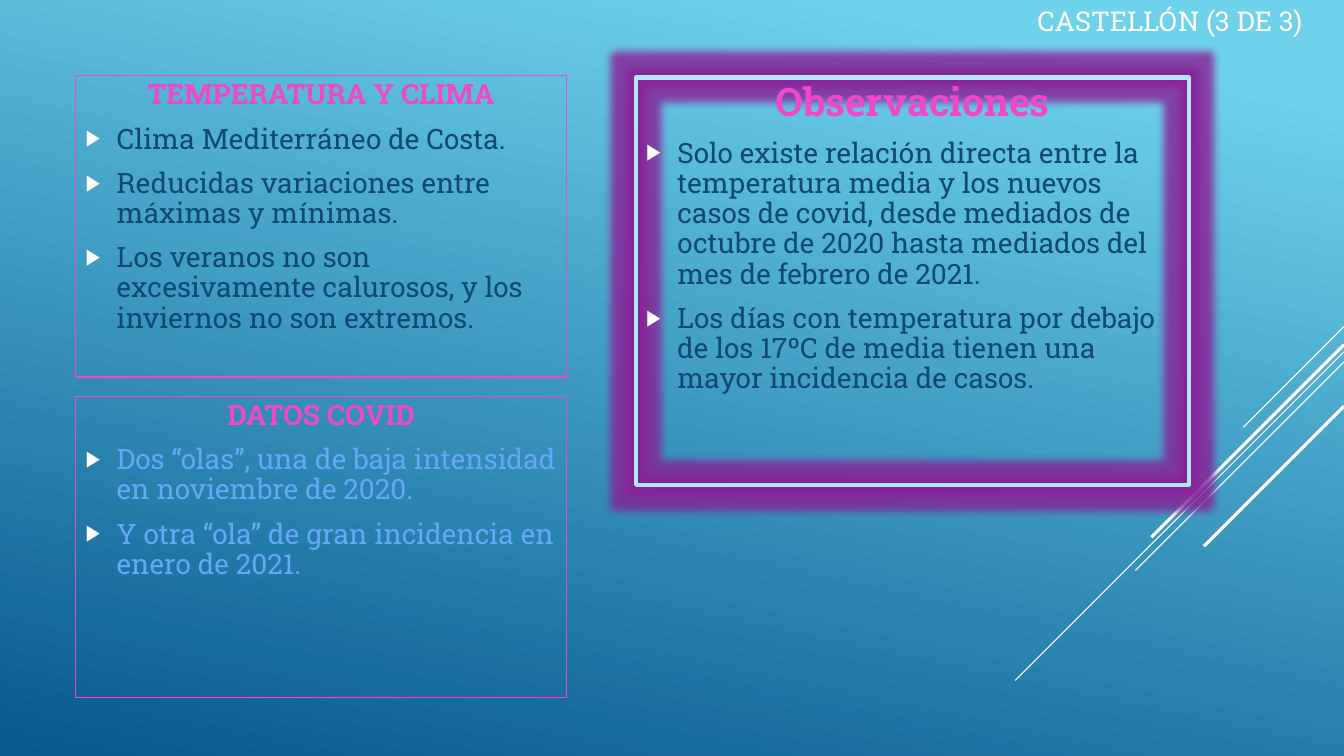
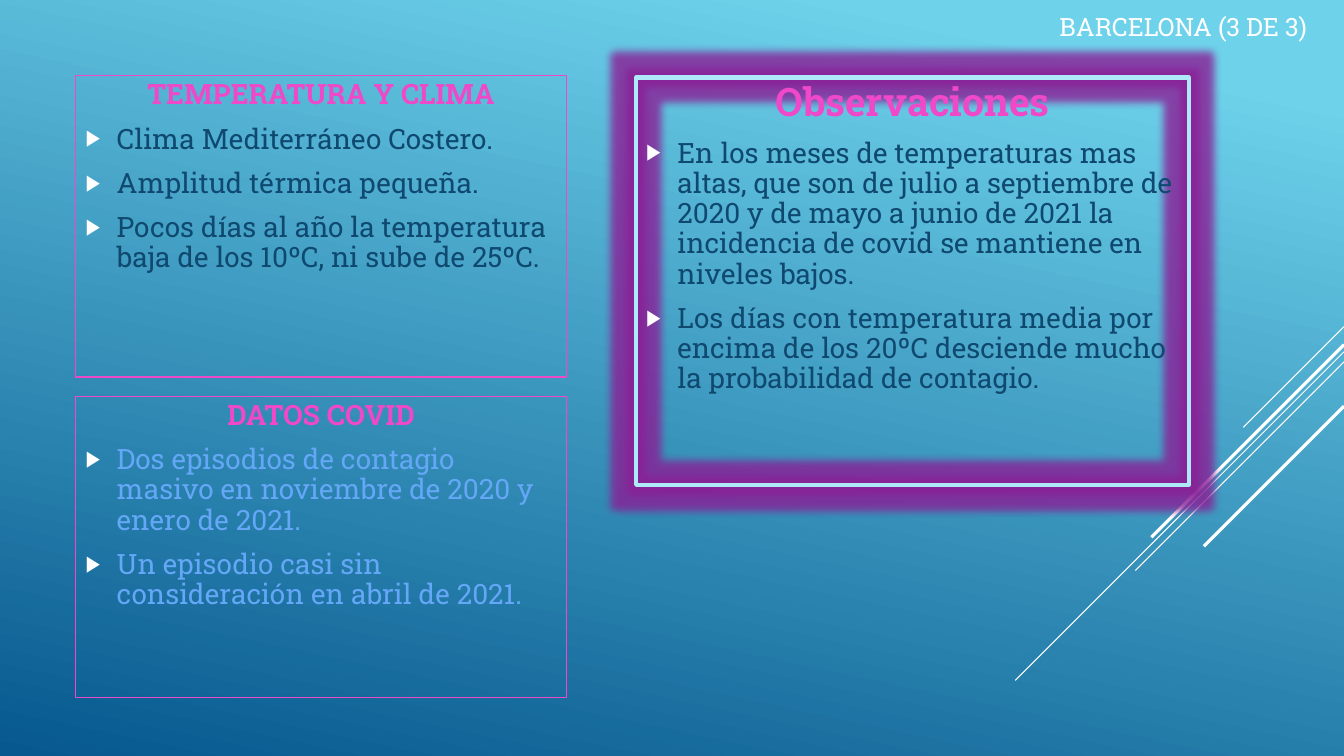
from dataclasses import dataclass

from lxml.etree import SubElement
from pptx import Presentation
from pptx.dml.color import RGBColor
from pptx.enum.shapes import MSO_CONNECTOR, MSO_SHAPE
from pptx.enum.text import MSO_ANCHOR, PP_ALIGN
from pptx.oxml.ns import qn
from pptx.util import Inches, Pt


@dataclass(frozen=True)
class Theme:
    font: str = "Roboto Slab"
    white: RGBColor = RGBColor.from_string("FFFFFF")
    pink: RGBColor = RGBColor.from_string("EF48C9")
    navy: RGBColor = RGBColor.from_string("0F496F")
    sky: RGBColor = RGBColor.from_string("64A7F7")
    frame: RGBColor = RGBColor.from_string("ADE9F8")
    background_top: RGBColor = RGBColor.from_string("6ED2EB")
    background_bottom: RGBColor = RGBColor.from_string("06588E")
    glow: str = "8A1F96"
    body_size: float = 20
    observation_size: float = 28


theme = Theme()


def style_paragraph(paragraph, text, size, color, bold=False):
    paragraph.text = text
    paragraph.line_spacing = 0.9
    paragraph.font.name = theme.font
    paragraph.font.size = Pt(size)
    paragraph.font.color.rgb = color
    paragraph.font.bold = bold


def add_panel(slide, box, outline, heading, heading_size, bullets, color):
    panel = slide.shapes.add_shape(MSO_SHAPE.RECTANGLE, *map(Inches, box))
    panel.shadow.inherit = False
    panel.fill.background()
    panel.line.color.rgb, panel.line.width = outline
    frame = panel.text_frame
    frame.word_wrap = True
    frame.vertical_anchor = MSO_ANCHOR.TOP

    paragraph = frame.paragraphs[0]
    paragraph.alignment = PP_ALIGN.CENTER
    paragraph.space_after = Pt(6)
    style_paragraph(paragraph, heading, heading_size, theme.pink, True)

    for bullet in bullets:
        paragraph = frame.add_paragraph()
        paragraph.alignment = PP_ALIGN.LEFT
        paragraph.space_before = Pt(4)
        paragraph.space_after = Pt(6)
        paragraph.line_spacing = 0.9
        properties = paragraph._p.get_or_add_pPr()
        properties.set("marL", str(Inches(0.31)))
        properties.set("indent", str(-Inches(0.31)))
        bullet_color = SubElement(properties, qn("a:buClr"))
        SubElement(bullet_color, qn("a:srgbClr"), val=str(theme.white))
        SubElement(properties, qn("a:buSzPct"), val="80000")
        SubElement(properties, qn("a:buFont"), typeface="Arial")
        SubElement(properties, qn("a:buChar"), char="▶")
        style_paragraph(paragraph, bullet, theme.body_size, color)
    return panel


# Content: title, title box, title size, then the bullets of each panel
cities = [
    (
        "CASTELLÓN (3 DE 3)", (10.19, 0.03, 3.14, 0.41), 19.5,
        ["Clima Mediterráneo de Costa.",
         "Reducidas variaciones entre máximas y mínimas.",
         "Los veranos no son excesivamente calurosos, y los inviernos no son extremos."],
        ["Dos “olas”, una de baja intensidad en noviembre de 2020.",
         "Y otra “ola” de gran incidencia en enero de 2021."],
        ["Solo existe relación directa entre la temperatura media y los nuevos casos de "
         "covid, desde mediados de octubre de 2020 hasta mediados del mes de febrero de 2021.",
         "Los días con temperatura por debajo de los 17ºC de media tienen una mayor "
         "incidencia de casos."],
    ),
    (
        "BARCELONA (3 DE 3)", (10.41, 0.1, 2.93, 0.52), 18,
        ["Clima Mediterráneo Costero.",
         "Amplitud térmica pequeña.",
         "Pocos días al año la temperatura baja de los 10ºC, ni sube de 25ºC."],
        ["Dos episodios de contagio masivo en noviembre de 2020 y enero de 2021.",
         "Un episodio casi sin consideración en abril de 2021."],
        ["En los meses de temperaturas mas altas, que son de julio a septiembre de 2020 y "
         "de mayo a junio de 2021 la incidencia de covid se mantiene en niveles bajos.",
         "Los días con temperatura media por encima de los 20ºC desciende mucho la "
         "probabilidad de contagio."],
    ),
]

# Diagonals run down and left at 45° from the right edge: start y, run, width
slide_width = 13.33
diagonals = [
    (3.24, 1.0, 0.75),
    (3.49, 3.26, 0.75),
    (3.59, 2.07, 0.75),
    (3.42, 1.91, 2.25),
    (4.03, 1.39, 2.25),
]

presentation = Presentation()
presentation.slide_width = Inches(slide_width)
presentation.slide_height = Inches(7.5)

# Shared background
background = presentation.slide_master.background.fill
background.gradient()
background.gradient_angle = 258
stops = zip(background.gradient_stops, (0.1, 1),
            (theme.background_top, theme.background_bottom))
for stop, position, color in stops:
    stop.position = position
    stop.color.rgb = color

for title, title_box, title_size, climate, covid, observations in cities:
    slide = presentation.slides.add_slide(presentation.slide_layouts[6])

    # Diagonal lines
    for top, run, width in diagonals:
        line = slide.shapes.add_connector(
            MSO_CONNECTOR.STRAIGHT, Inches(slide_width), Inches(top),
            Inches(slide_width - run), Inches(top + run))
        line.line.color.rgb = theme.white
        line.line.width = Pt(width)
        SubElement(line._element.spPr, qn("a:effectLst"))

    # Panels
    add_panel(slide, (0.75, 0.75, 4.87, 2.99), (theme.pink, Pt(1)),
              "TEMPERATURA Y CLIMA", theme.body_size, climate, theme.navy)
    add_panel(slide, (0.75, 3.93, 4.87, 2.99), (theme.pink, Pt(0.75)),
              "DATOS COVID", theme.body_size, covid, theme.sky)
    panel = add_panel(slide, (6.31, 0.77, 5.48, 4.04), (theme.frame, Pt(3)),
                      "Observaciones", theme.observation_size, observations, theme.navy)

    # Glow around the observations
    effects = panel._element.spPr.find(qn("a:effectLst"))
    glow = SubElement(effects, qn("a:glow"), rad=str(Pt(11)))
    glow_color = SubElement(glow, qn("a:srgbClr"), val=theme.glow)
    SubElement(glow_color, qn("a:alpha"), val="80000")

    # Title
    title_frame = slide.shapes.add_textbox(*map(Inches, title_box)).text_frame
    title_frame.word_wrap = True
    style_paragraph(title_frame.paragraphs[0], title, title_size, theme.white)

presentation.save("out.pptx")
